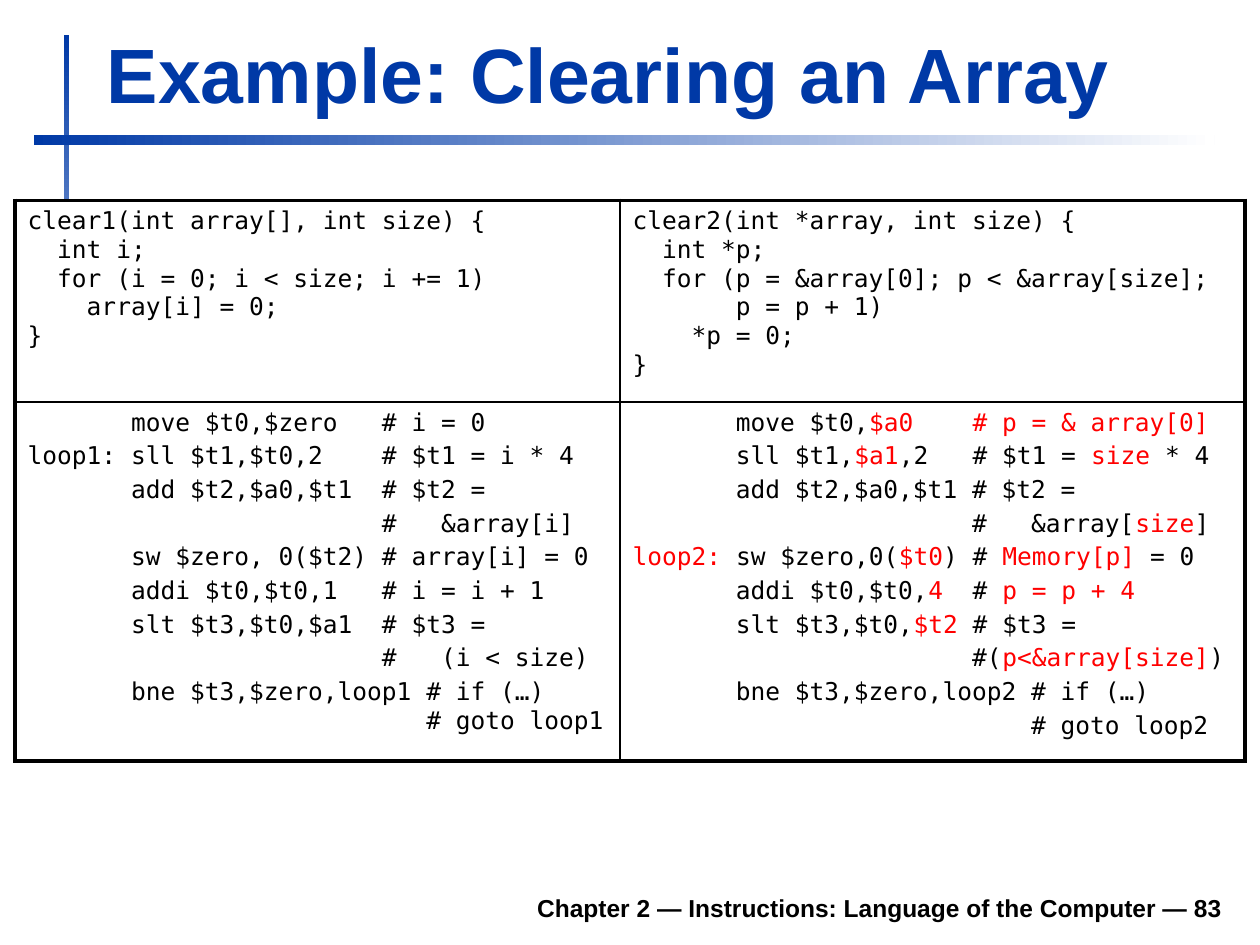
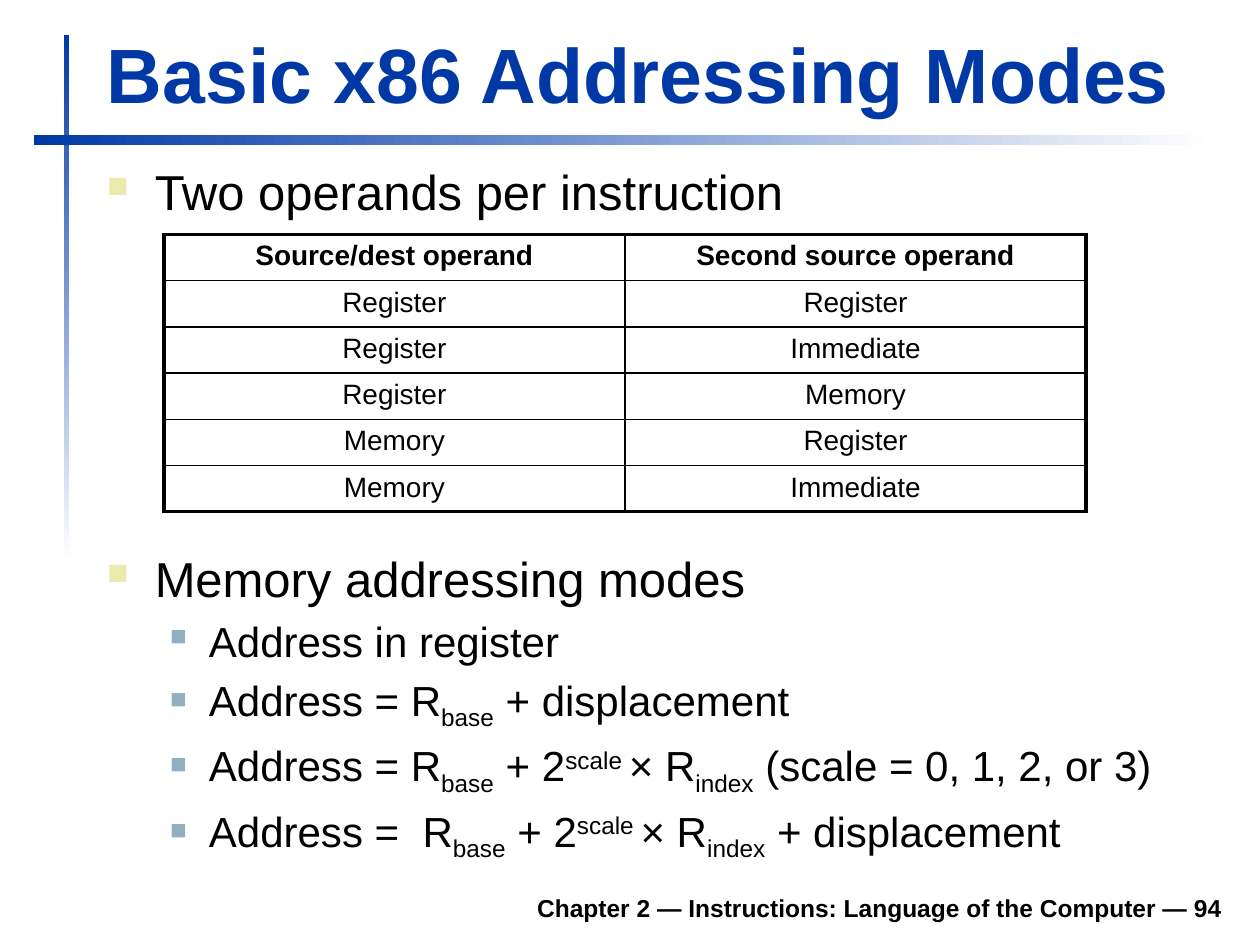
from lxml import etree
from pptx import Presentation, util as u
from pptx.dml.color import RGBColor
from pptx.enum import shapes, text
from pptx.oxml.ns import qn

PX = 9144  # EMU in one px, 100 px to the inch
HEX = {"blue": "0039A6", "white": "FFFFFF", "black": "000000",
       "red": "FF0000", "sand": "ECEAAC", "steel": "91AFBF"}
SANS, MONO = "Arial", "DejaVu Sans Mono"
LEFT, MID, RIGHT = text.PP_ALIGN.LEFT, text.PP_ALIGN.CENTER, text.PP_ALIGN.RIGHT
TOP, BASE = text.MSO_ANCHOR.TOP, text.MSO_ANCHOR.BOTTOM
SHIFT = {"_": "-25000", "^": "30000"}
# level: size, bullet colour, bullet size, left margin, hanging indent
LEVELS = [(28, "sand", 60, 38, 38), (24, "steel", 55, 81, 31)]


def rgb(name):
    return RGBColor.from_string(HEX[name])


def add(parent, tag, **attrs):
    return etree.SubElement(parent, qn(tag), **attrs)


class Deck:
    def __init__(self):
        self.prs = Presentation()
        self.prs.slide_width, self.prs.slide_height = 1000 * PX, 750 * PX
        self.slide = None

    def page(self, title, num):
        """Start a slide with its bands, footer and title."""
        self.slide = self.prs.slides.add_slide(self.prs.slide_layouts[6])
        self.band((51, 28, 4, 417), 270)
        self.band((27, 107, 937, 8), 0)
        foot = f"Chapter 2 — Instructions: Language of the Computer — {num}"
        self.line(self.box((185, 698, 795, 39), BASE), foot, 14, bold=True, align=RIGHT)
        self.line(self.box((75, 16, 903, 83), BASE), title, 44, bold=True, color="blue")

    def band(self, at, angle):
        """Bar that fades from blue to white."""
        bar = self.slide.shapes.add_shape(shapes.MSO_SHAPE.RECTANGLE, *(n * PX for n in at))
        bar.shadow.inherit = False
        bar.line.fill.background()
        bar.fill.gradient()
        bar.fill.gradient_angle = angle
        for stop, name in zip(bar.fill.gradient_stops, ("blue", "white")):
            stop.color.rgb = rgb(name)

    def box(self, at, anchor=TOP):
        frame = self.slide.shapes.add_textbox(*(n * PX for n in at)).text_frame
        frame.word_wrap = True
        frame.vertical_anchor = anchor
        return frame

    def line(self, frame, words, size, font=SANS, bold=False, color="black",
             align=LEFT, gap=0.0, level=None):
        """Add a paragraph. Between tildes: _sub, ^super, / for a break, or red."""
        first = not frame.paragraphs[0].runs
        para = frame.paragraphs[0] if first else frame.add_paragraph()
        if level is not None:
            self.bullet(para, level)
        para.alignment = align
        para.space_before = u.Pt(0 if first else round(size * gap, 1))
        para.font.name, para.font.size, para.font.bold = font, u.Pt(size), bold
        para.font.color.rgb = rgb(color)
        for i, part in enumerate(words.split("~")):
            if i % 2 and part == "/":
                para.add_line_break()
            elif i % 2 and part[0] in SHIFT:
                run = para.add_run()
                run.text = part[1:]
                run._r.get_or_add_rPr().set("baseline", SHIFT[part[0]])
            elif part:
                run = para.add_run()
                run.text = part
                if i % 2:
                    run.font.color.rgb = rgb("red")

    def bullet(self, para, level):
        _, color, size, left, hang = LEVELS[level]
        props = para._p.get_or_add_pPr()
        props.set("lvl", str(level))
        props.set("marL", str(left * PX))
        props.set("indent", str(-hang * PX))
        add(add(props, "a:buClr"), "a:srgbClr", val=HEX[color])
        add(props, "a:buSzPct", val=str(size * 1000))
        add(props, "a:buChar", char="■")

    def points(self, at, items):
        frame = self.box(at)
        for level, words in items:
            self.line(frame, words, LEVELS[level][0], gap=0.2, level=level)

    def table(self, at, rows, cols):
        """Add a plain table; cells are written with cell()."""
        grid = self.slide.shapes.add_table(rows, cols, *(n * PX for n in at)).table
        grid.first_row = grid.horz_banding = False
        for r in range(rows):
            for c in range(cols):
                self.edge(grid.cell(r, c), {"L": c == 0, "R": c == cols - 1,
                                            "T": r == 0, "B": r == rows - 1})
        return grid

    def edge(self, cell, sides):
        """Draw cell borders, heavier on the outside of the table."""
        cell.fill.background()
        props = cell._tc.get_or_add_tcPr()
        for i, (side, outer) in enumerate(sides.items()):
            rule = etree.Element(qn("a:ln" + side), w=str(u.Pt(2.25 if outer else 1)))
            add(add(rule, "a:solidFill"), "a:srgbClr", val=HEX["black"])
            props.insert(i, rule)

    def code(self, cell, lines, gap=0.0):
        cell.fill.solid()
        cell.fill.fore_color.rgb = rgb("white")
        for words in lines.strip("\n").split("\n"):
            self.line(cell.text_frame, words, 14, font=MONO, gap=gap)


C_INDEX = """
clear1(int array[], int size) {
  int i;
  for (i = 0; i < size; i += 1)
    array[i] = 0;
}
"""
C_POINTER = """
clear2(int *array, int size) {
  int *p;
  for (p = &array[0]; p < &array[size];
       p = p + 1)
    *p = 0;
}
"""
ASM_INDEX = """
       move $t0,$zero   # i = 0
loop1: sll $t1,$t0,2    # $t1 = i * 4
       add $t2,$a0,$t1  # $t2 =
                        #   &array[i]
       sw $zero, 0($t2) # array[i] = 0
       addi $t0,$t0,1   # i = i + 1
       slt $t3,$t0,$a1  # $t3 =
                        #   (i < size)
       bne $t3,$zero,loop1 # if (…)~/~                           # goto loop1
"""
ASM_POINTER = """
       move $t0,~$a0    # p = & array[0]~
       sll $t1,~$a1~,2   # $t1 = ~size~ * 4
       add $t2,$a0,$t1 # $t2 =
                       #   &array[~size~]
~loop2: ~sw $zero,0(~$t0~) # ~Memory[p]~ = 0
       addi $t0,$t0,~4~  # ~p = p + 4~
       slt $t3,$t0,~$t2~ # $t3 =
                       #(~p<&array[size]~)
       bne $t3,$zero,loop2 # if (…)
                           # goto loop2
"""
MODES = [("Source/dest operand", "Second source operand"),
         ("Register", "Register"), ("Register", "Immediate"),
         ("Register", "Memory"), ("Memory", "Register"), ("Memory", "Immediate")]


def main():
    deck = Deck()

    # Array and pointer versions side by side
    deck.page("Example: Clearing an Array", 83)
    grid = deck.table((12, 159, 976, 445), 2, 2)
    for col, wide in zip(grid.columns, (480, 496)):
        col.width = wide * PX
    for row, high in zip(grid.rows, (160, 285)):
        row.height = high * PX
    for c, (source, asm) in enumerate([(C_INDEX, ASM_INDEX), (C_POINTER, ASM_POINTER)]):
        deck.code(grid.cell(0, c), source)
        deck.code(grid.cell(1, c), asm, gap=0.2)

    # Operand table and addressing modes
    deck.page("Basic x86 Addressing Modes", 94)
    deck.points((75, 123, 905, 71), [(0, "Two operands per instruction")])
    grid = deck.table((130, 186, 732, 220), len(MODES), 2)
    for r, pair in enumerate(MODES):
        for c, words in enumerate(pair):
            deck.line(grid.cell(r, c).text_frame, words, 16, bold=r == 0, align=MID)
    deck.points((75, 430, 905, 252), [
        (0, "Memory addressing modes"),
        (1, "Address in register"),
        (1, "Address = R~_base~ + displacement"),
        (1, "Address = R~_base~ + 2~^scale ~× R~_index~ (scale = 0, 1, 2, or 3)"),
        (1, "Address =  R~_base~ + 2~^scale ~× R~_index~ + displacement")])

    deck.prs.save("out.pptx")


if __name__ == "__main__":
    main()
